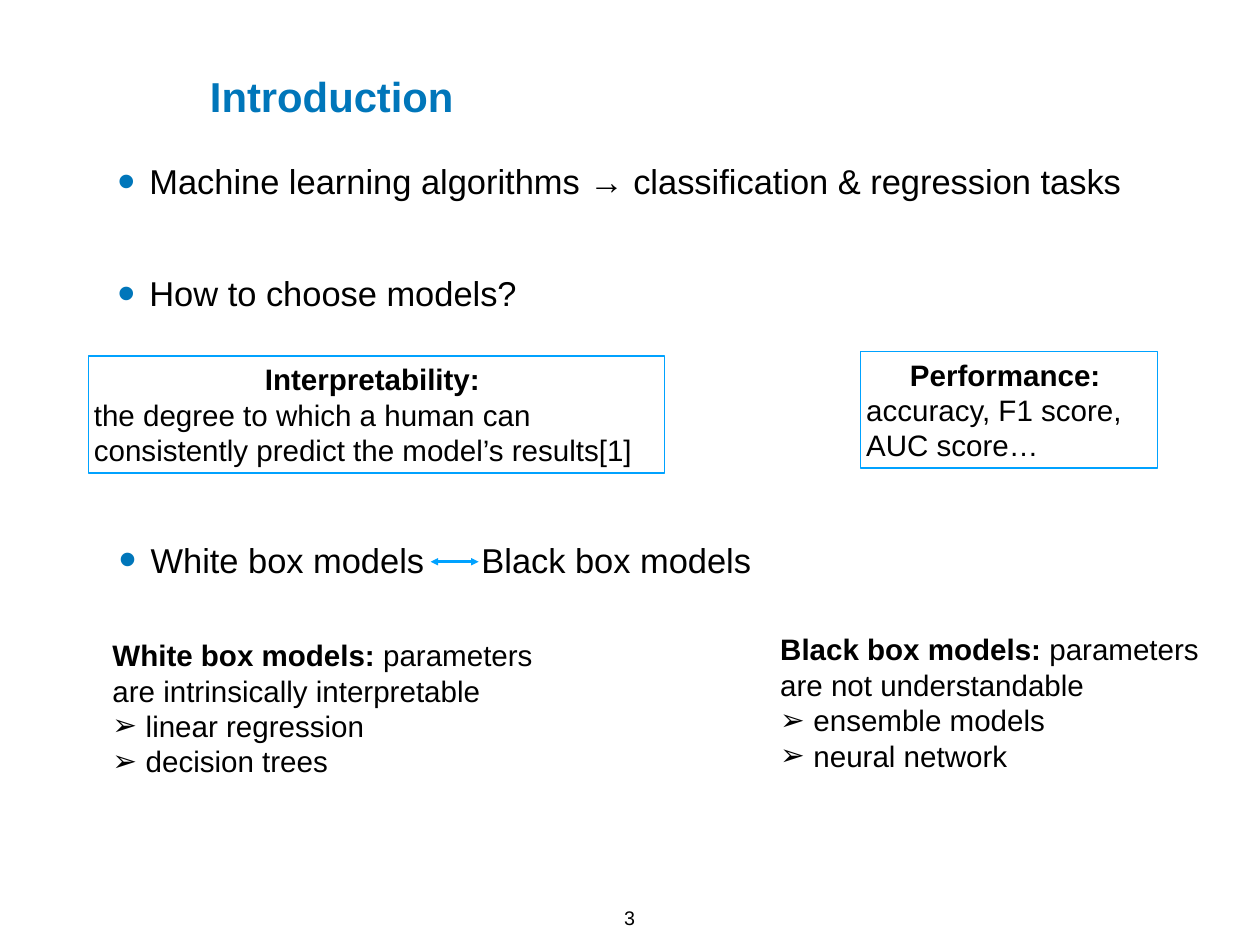
from lxml import etree
from pptx import Presentation
from pptx.dml.color import RGBColor
from pptx.enum.shapes import MSO_CONNECTOR, MSO_SHAPE
from pptx.enum.text import MSO_ANCHOR, MSO_AUTO_SIZE, PP_ALIGN
from pptx.oxml.ns import qn
from pptx.util import Pt

TOP, MIDDLE = MSO_ANCHOR.TOP, MSO_ANCHOR.MIDDLE
LEFT, CENTER = PP_ALIGN.LEFT, PP_ALIGN.CENTER
NO_FIT = MSO_AUTO_SIZE.NONE
RECTANGLE = MSO_SHAPE.RECTANGLE
STRAIGHT = MSO_CONNECTOR.STRAIGHT

FONT = "Arial"
COLORS = {"heading": "0076BA", "outline": "00A2FF", "text": "000000"}
INSET = 4.3
TITLE_SIZE, POINT_SIZE, DETAIL_SIZE, NUMBER_SIZE = 34, 28, 24, 16
POINT_INDENT, DETAIL_INDENT = 25.9, 27


def color(name):
    return RGBColor.from_string(COLORS[name])


def set_frame(shape, anchor, wrap=True):
    frame = shape.text_frame
    frame.word_wrap = wrap
    frame.auto_size = NO_FIT
    frame.vertical_anchor = anchor
    frame.margin_left = frame.margin_right = Pt(INSET)
    frame.margin_top = frame.margin_bottom = Pt(INSET)
    return frame


def add_para(frame, spans, size, align=LEFT, tone="text"):
    para = frame.paragraphs[0]
    if para.runs:
        para = frame.add_paragraph()
    para.alignment = align
    for text, bold in spans:
        span = para.add_run()
        span.text = text
        span.font.name = FONT
        span.font.size = Pt(size)
        span.font.bold = bold
        span.font.color.rgb = color(tone)
    return para


def add_bullet(para, symbol, indent, tone="text", percent=100):
    props = para._p.get_or_add_pPr()
    props.set("marL", str(Pt(indent)))
    props.set("indent", str(-Pt(indent)))
    fill = etree.SubElement(props, qn("a:buClr"))
    etree.SubElement(fill, qn("a:srgbClr"), val=COLORS[tone])
    etree.SubElement(props, qn("a:buSzPct"), val=str(percent * 1000))
    etree.SubElement(props, qn("a:buFont"), typeface=FONT)
    etree.SubElement(props, qn("a:buChar"), char=symbol)


def add_text_box(page, place, anchor=TOP, wrap=True):
    box = page.shapes.add_textbox(*map(Pt, place))
    return set_frame(box, anchor, wrap)


def add_title(page, text, place):
    title = page.shapes.title
    title.left, title.top, title.width, title.height = map(Pt, place)
    frame = set_frame(title, MIDDLE)
    add_para(frame, [(text, True)], TITLE_SIZE, tone="heading")


def add_points(page, place, points, gap=0, anchor=TOP):
    frame = add_text_box(page, place, anchor)
    for index, text in enumerate(points):
        para = add_para(frame, [(text, False)], POINT_SIZE)
        add_bullet(para, "•", POINT_INDENT, "heading", 145)
        if index:
            para.space_before = Pt(gap)


def add_criterion(page, place, heading, lines):
    box = page.shapes.add_shape(RECTANGLE, *map(Pt, place))
    box.shadow.inherit = False
    box.fill.background()
    box.line.color.rgb = color("outline")
    box.line.width = Pt(1)
    frame = set_frame(box, MIDDLE)
    add_para(frame, [(heading, True)], DETAIL_SIZE, CENTER)
    for line in lines:
        add_para(frame, [(line, False)], DETAIL_SIZE)


def add_model_type(page, place, name, meaning, examples):
    frame = add_text_box(page, place, MIDDLE)
    add_para(frame, [(name, True), (meaning, False)], DETAIL_SIZE)
    for example in examples:
        para = add_para(frame, [(example, False)], DETAIL_SIZE)
        add_bullet(para, "➢", DETAIL_INDENT)


def add_double_arrow(page, start, end, level):
    arrow = page.shapes.add_connector(
        STRAIGHT, Pt(start), Pt(level), Pt(end), Pt(level))
    arrow.line.color.rgb = color("outline")
    arrow.line.width = Pt(2)
    props = arrow._element.spPr
    outline = props.find(qn("a:ln"))
    for tip in ("a:headEnd", "a:tailEnd"):
        etree.SubElement(outline, qn(tip), type="triangle")
    etree.SubElement(props, qn("a:effectLst"))


def main():
    deck = Presentation()
    deck.slide_width, deck.slide_height = Pt(1024), Pt(768)
    page = deck.slides.add_slide(deck.slide_layouts[5])

    add_title(page, "Introduction", (166.3, 53.8, 220, 48.2))
    add_points(page, (91.2, 126, 893.5, 148.3), [
        "Machine learning algorithms → classification & regression tasks",
        "How to choose models?",
    ], gap=57.5)

    add_criterion(page, (72, 289.4, 468, 95), "Interpretability: ", [
        "the degree to which a human can consistently predict "
        "the model’s results[1]",
    ])
    add_criterion(page, (699.6, 285.4, 241.2, 95), "Performance: ", [
        "accuracy, F1 score,", "AUC score…",
    ])

    add_points(page, (92.2, 433.8, 265, 41.8), ["White box models"],
               anchor=MIDDLE)
    black = add_text_box(page, (387, 433.8, 260, 41.8), MIDDLE)
    add_para(black, [("Black box models", False)], POINT_SIZE)
    add_double_arrow(page, 350, 389, 456.5)

    add_model_type(page, (87.1, 513.1, 355, 124.6), "White box models: ",
                   "parameters are intrinsically interpretable",
                   ["linear regression", "decision trees"])
    add_model_type(page, (629.8, 508.3, 355, 124.6), "Black box models: ",
                   "parameters are not understandable",
                   ["ensemble models", "neural network"])

    number = add_text_box(page, (502.6, 732.2, 18, 25.2), wrap=False)
    add_para(number, [("3", False)], NUMBER_SIZE, CENTER)

    deck.save("out.pptx")


if __name__ == "__main__":
    main()
